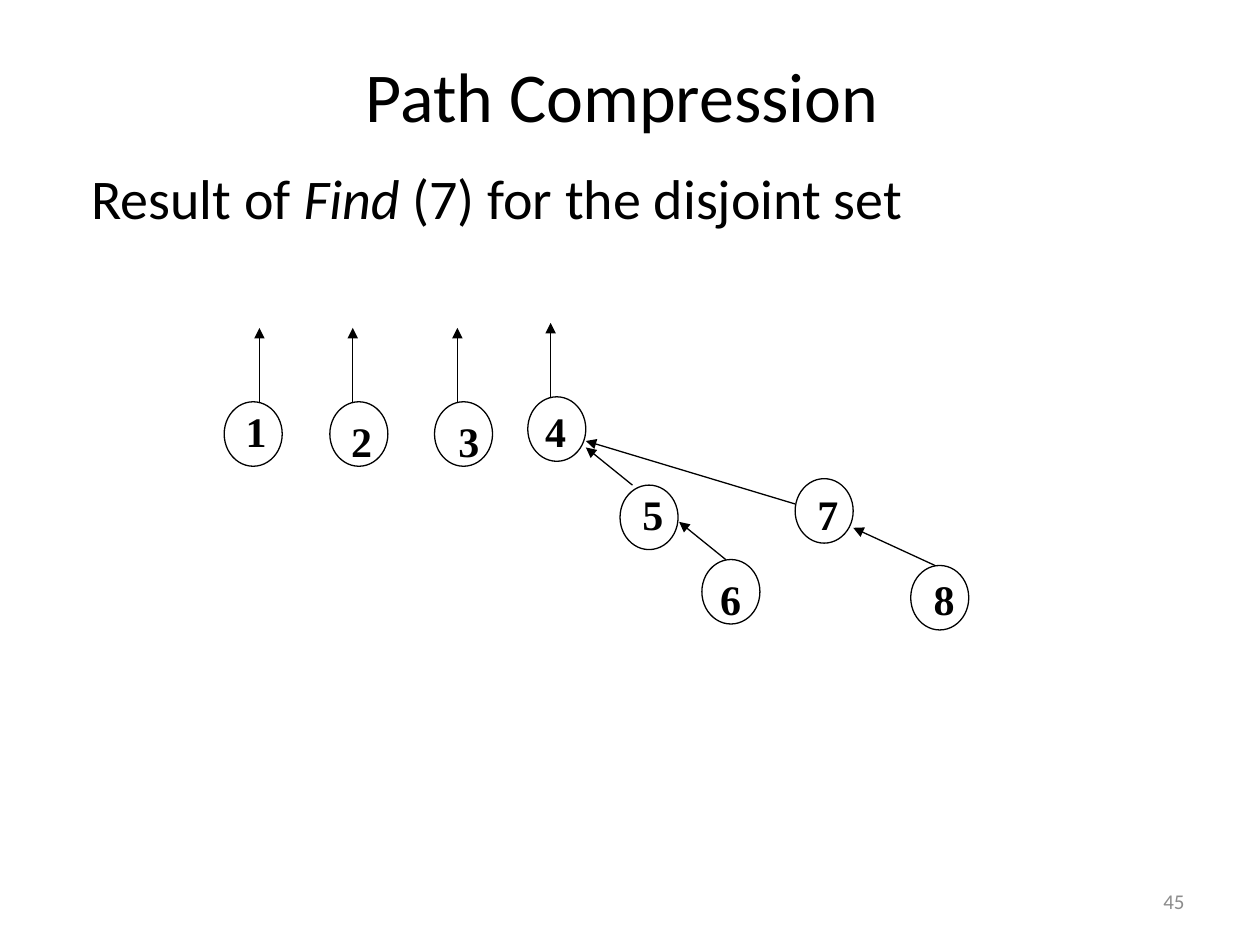
from lxml import etree
from pptx import Presentation
from pptx.dml.color import RGBColor
from pptx.enum.shapes import MSO_CONNECTOR, MSO_SHAPE
from pptx.enum.text import MSO_ANCHOR, MSO_AUTO_SIZE, PP_ALIGN
from pptx.oxml.ns import qn
from pptx.util import Cm, Pt

OVAL = MSO_SHAPE.OVAL
STRAIGHT = MSO_CONNECTOR.STRAIGHT
TOP, MIDDLE = MSO_ANCHOR.TOP, MSO_ANCHOR.MIDDLE
LEFT, CENTER, RIGHT = PP_ALIGN.LEFT, PP_ALIGN.CENTER, PP_ALIGN.RIGHT
GROW, FIXED = MSO_AUTO_SIZE.SHAPE_TO_FIT_TEXT, MSO_AUTO_SIZE.NONE

NODE_WIDTH, NODE_HEIGHT = 1.17, 1.3
LABEL_HEIGHT = 1.27
ROOT_ARROW = 1.52


def color(value):
    return RGBColor.from_string(value)


class TreeSlide:
    """Holds the style and the current slide; lengths are centimetres."""

    ink, gray = "000000", "8C8C8C"
    body_font, label_font = "Calibri", "Times New Roman"
    line_width = Pt(0.75)

    def __init__(self, page):
        self.page = page

    def text(self, left, top, width, height, spans, size, align=LEFT,
             anchor=TOP, font=None, ink=None, bold=False, fit=FIXED):
        """Add a text box; spans are (text, italic) pairs."""
        box = self.page.shapes.add_textbox(Cm(left), Cm(top), Cm(width), Cm(height))
        frame = box.text_frame
        frame.word_wrap = True
        frame.auto_size = fit
        frame.vertical_anchor = anchor
        para = frame.paragraphs[0]
        para.alignment = align
        for words, italic in spans:
            span = para.add_run()
            span.text = words
            span.font.name = font or self.body_font
            span.font.size = Pt(size)
            span.font.bold = bold
            span.font.italic = italic
            span.font.color.rgb = color(ink or self.ink)

    def node(self, left, top):
        shape = self.page.shapes.add_shape(
            OVAL, Cm(left), Cm(top), Cm(NODE_WIDTH), Cm(NODE_HEIGHT))
        shape.shadow.inherit = False
        shape.fill.background()
        shape.line.color.rgb = color(self.ink)
        shape.line.width = self.line_width

    def label(self, left, top, width, words):
        self.text(left, top, width, LABEL_HEIGHT, [(words, False)], 24,
                  font=self.label_font, bold=True, fit=GROW)

    def arrow(self, start, end):
        line = self.page.shapes.add_connector(
            STRAIGHT, *(Cm(value) for value in (*start, *end)))
        line.line.color.rgb = color(self.ink)
        line.line.width = self.line_width
        etree.SubElement(line.line._get_or_add_ln(), qn("a:tailEnd"), type="triangle")
        etree.SubElement(line._element.spPr, qn("a:effectLst"))


# Number: node left and top, label left, top and width
NODES = {
    "1": (4.52, 8.1, 4.7, 8.05, 0.79),
    "2": (6.65, 8.1, 6.83, 8.26, 0.79),
    "3": (8.76, 8.1, 8.99, 8.26, 0.79),
    "4": (10.64, 8.0, 10.74, 8.05, 0.97),
    "5": (12.5, 9.78, 12.7, 9.73, 0.79),
    "6": (14.15, 11.28, 14.27, 11.43, 0.97),
    "7": (16.03, 9.65, 16.23, 9.73, 1.17),
    "8": (18.36, 11.4, 18.57, 11.43, 0.97),
}

# Foot of the arrow above each root
ROOTS = [(5.23, 8.13), (7.11, 8.13), (9.22, 8.13), (11.1, 8.03)]

# Child to parent
LINKS = [
    ((12.75, 9.78), (11.81, 9.02)),
    ((14.63, 11.28), (13.69, 10.52)),
    ((16.03, 10.16), (11.81, 8.89)),
    ((18.85, 11.4), (17.2, 10.64)),
]


def main():
    deck = Presentation()
    deck.slide_width, deck.slide_height = Cm(25.4), Cm(19.05)
    slide = TreeSlide(deck.slides.add_slide(deck.slide_layouts[6]))

    # Title, statement and page number
    slide.text(1.75, 0.64, 21.59, 2.54, [("Path Compression", False)], 40,
               align=CENTER, anchor=MIDDLE)
    slide.text(1.59, 3.18, 21.59, 14.17,
               [("Result of ", False), ("Find", True),
                (" (7) for the disjoint set", False)], 32)
    slide.text(18.2, 17.66, 5.93, 1.01, [("45", False)], 12,
               align=RIGHT, anchor=MIDDLE, ink=slide.gray)

    # Nodes
    for left, top, *_ in NODES.values():
        slide.node(left, top)

    # Arrows
    for x, y in ROOTS:
        slide.arrow((x, y), (x, y - ROOT_ARROW))
    for child, parent in LINKS:
        slide.arrow(child, parent)

    # Node numbers
    for number, (_, _, left, top, width) in NODES.items():
        slide.label(left, top, width, number)

    deck.save("out.pptx")


if __name__ == "__main__":
    main()
